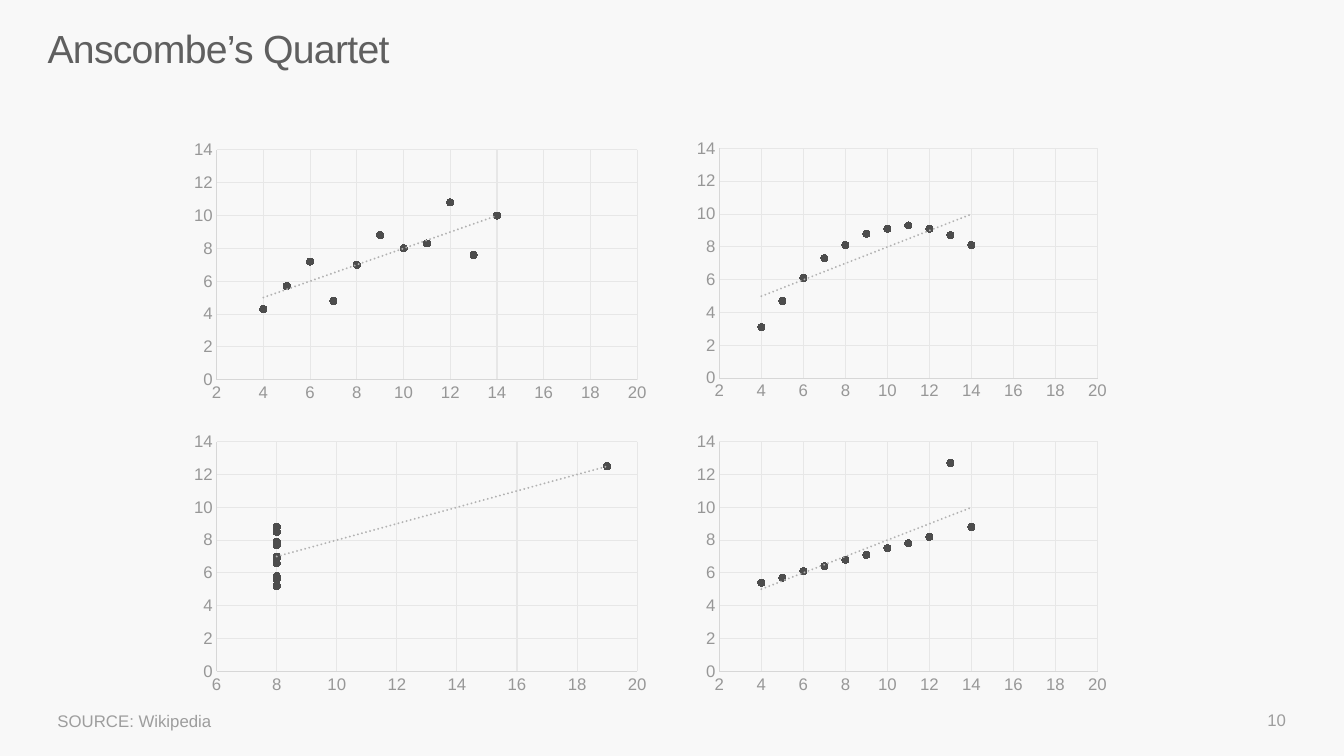
"""Build a slide with the four scatter charts of Anscombe's Quartet."""
from dataclasses import dataclass

from lxml.etree import fromstring
from pptx import Presentation
from pptx.chart.axis import ValueAxis
from pptx.chart.data import XyChartData
from pptx.chart.series import XySeries
from pptx.dml.color import RGBColor
from pptx.enum.chart import XL_CHART_TYPE as ChartType
from pptx.enum.chart import XL_MARKER_STYLE as MarkerStyle
from pptx.enum.chart import XL_TICK_MARK as TickMark
from pptx.enum.text import MSO_ANCHOR as Anchor
from pptx.enum.text import PP_ALIGN as Align
from pptx.oxml.ns import nsdecls, qn
from pptx.slide import Slide
from pptx.util import Cm, Pt

FONT = "Arial"
COLORS = {
    "background": "F8F8F8",
    "title": "5F5F5F",
    "footer": "9D9D9D",
    "label": "979797",
    "axis": "D7D7D7",
    "grid": "E7E7E7",
    "marker": "4D4D4D",
    "trend": "B2B2B2",
}
LEFT, RIGHT = (4.65, 11.89), (17.32, 10.82)
CHART_HEIGHT = 6.83
PLOT_LEFT, PLOT_RIGHT, PLOT_TOP, PLOT_HEIGHT = 0.81, 0.48, 0.35, 5.79
SHARED_X = (10, 8, 13, 9, 11, 14, 6, 4, 12, 7, 5)
FOURTH_X = (8, 8, 8, 8, 8, 8, 8, 19, 8, 8, 8)


@dataclass(frozen=True)
class Label:
    text: str
    left: float
    top: float
    width: float
    height: float
    size: float
    color: str
    align: Align = Align.LEFT
    anchor: Anchor = Anchor.MIDDLE
    inset: tuple[float, float] = (0.25, 0.13)
    line_spacing: float = 1.0
    tracking: int = 0


@dataclass(frozen=True)
class Scatter:
    column: tuple[float, float]
    top: float
    x_values: tuple[float, ...]
    y_values: tuple[float, ...]
    x_minimum: float = 2


LABELS = (
    Label("Anscombe’s Quartet", 1.2, 0.79, 31.47, 2.26, 28, "title",
          anchor=Anchor.TOP, inset=(0, 0), line_spacing=0.86, tracking=-50),
    Label("10", 25.04, 17.63, 7.62, 1.02, 12, "footer", align=Align.RIGHT),
    Label("SOURCE: Wikipedia", 1.2, 17.65, 23.47, 1.02, 12, "footer"),
)
SCATTERS = (
    Scatter(LEFT, 3.43, SHARED_X,
            (8, 7, 7.6, 8.8, 8.3, 10, 7.2, 4.3, 10.8, 4.8, 5.7)),
    Scatter(RIGHT, 3.39, SHARED_X,
            (9.1, 8.1, 8.7, 8.8, 9.3, 8.1, 6.1, 3.1, 9.1, 7.3, 4.7)),
    Scatter(RIGHT, 10.78, SHARED_X,
            (7.5, 6.8, 12.7, 7.1, 7.8, 8.8, 6.1, 5.4, 8.2, 6.4, 5.7)),
    Scatter(LEFT, 10.78, FOURTH_X,
            (6.6, 5.8, 7.7, 8.8, 8.5, 7, 5.2, 12.5, 5.6, 7.9, 6.9), 6),
)


def rgb(name: str) -> RGBColor:
    return RGBColor.from_string(COLORS[name])


def add_label(page: Slide, label: Label) -> None:
    box = page.shapes.add_textbox(Cm(label.left), Cm(label.top),
                                  Cm(label.width), Cm(label.height))
    frame = box.text_frame
    frame.word_wrap = True
    frame.vertical_anchor = label.anchor
    frame.margin_left = frame.margin_right = Cm(label.inset[0])
    frame.margin_top = frame.margin_bottom = Cm(label.inset[1])
    para = frame.paragraphs[0]
    para.alignment = label.align
    para.line_spacing = label.line_spacing
    para.font.name = FONT
    para.font.size = Pt(label.size)
    para.font.color.rgb = rgb(label.color)
    span = para.add_run()
    span.text = label.text
    if label.tracking:
        span._r.get_or_add_rPr().set("spc", str(label.tracking))


def style_axis(axis: ValueAxis, minimum: float, maximum: float) -> None:
    axis.minimum_scale, axis.maximum_scale = minimum, maximum
    axis.major_unit = 2
    axis.major_tick_mark = axis.minor_tick_mark = TickMark.NONE
    axis.has_major_gridlines = True
    for line, color in ((axis.format.line, "axis"),
                        (axis.major_gridlines.format.line, "grid")):
        line.width = Pt(0.75)
        line.color.rgb = rgb(color)
    font = axis.tick_labels.font
    font.name, font.size = FONT, Pt(12)
    font.color.rgb = rgb("label")


def add_trend_line(series: XySeries) -> None:
    trend = fromstring(
        f'<c:trendline {nsdecls("c", "a")}><c:spPr><a:ln w="{Pt(1.5)}" cap="rnd">'
        f'<a:solidFill><a:srgbClr val="{COLORS["trend"]}"/></a:solidFill>'
        '<a:prstDash val="sysDot"/></a:ln></c:spPr>'
        '<c:trendlineType val="linear"/><c:dispRSqr val="0"/>'
        '<c:dispEq val="0"/></c:trendline>')
    series._element.find(qn("c:xVal")).addprevious(trend)


def add_scatter(page: Slide, scatter: Scatter) -> None:
    data = XyChartData()
    points = data.add_series("Series 1")
    for x, y in zip(scatter.x_values, scatter.y_values):
        points.add_data_point(x, y)
    left, width = scatter.column
    chart = page.shapes.add_chart(
        ChartType.XY_SCATTER, Cm(left), Cm(scatter.top), Cm(width),
        Cm(CHART_HEIGHT), data).chart
    chart.has_legend = chart.has_title = False
    chart.font.name, chart.font.size = FONT, Pt(10)
    chart.font.color.rgb = rgb("title")
    style_axis(chart.category_axis, scatter.x_minimum, 20)
    style_axis(chart.value_axis, 0, 14)

    plot = chart.plots[0]
    plot.vary_by_categories = False
    series = plot.series[0]
    series.format.line.fill.background()
    marker = series.marker
    marker.style, marker.size = MarkerStyle.CIRCLE, 5
    marker.format.fill.solid()
    marker.format.fill.fore_color.rgb = rgb("marker")
    marker.format.line.color.rgb = rgb("marker")
    add_trend_line(series)

    area = chart._chartSpace.chart.plotArea
    for old_layout in area.findall(qn("c:layout")):
        area.remove(old_layout)
    fractions = {"x": PLOT_LEFT / width, "y": PLOT_TOP / CHART_HEIGHT,
                 "w": 1 - (PLOT_LEFT + PLOT_RIGHT) / width,
                 "h": PLOT_HEIGHT / CHART_HEIGHT}
    places = "".join(f'<c:{key} val="{value:.4f}"/>'
                     for key, value in fractions.items())
    area.insert(0, fromstring(
        f'<c:layout {nsdecls("c")}><c:manualLayout><c:layoutTarget val="inner"/>'
        f'<c:xMode val="edge"/><c:yMode val="edge"/>{places}'
        '</c:manualLayout></c:layout>'))


def main() -> None:
    deck = Presentation()
    deck.slide_width, deck.slide_height = Cm(33.87), Cm(19.05)
    page = deck.slides.add_slide(deck.slide_layouts[6])
    page.background.fill.solid()
    page.background.fill.fore_color.rgb = rgb("background")
    for label in LABELS:
        add_label(page, label)
    for scatter in SCATTERS:
        add_scatter(page, scatter)
    deck.save("out.pptx")


if __name__ == "__main__":
    main()
